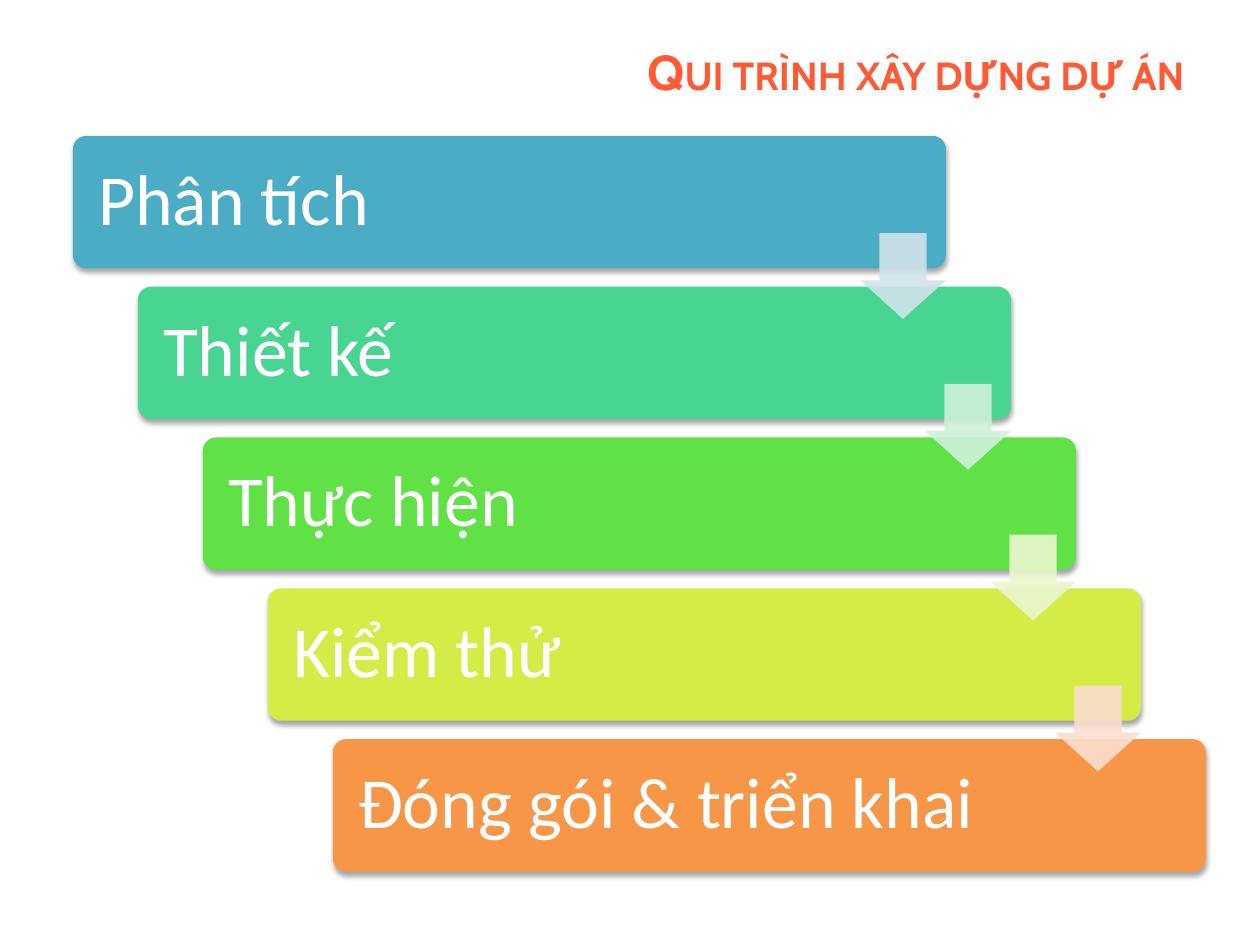
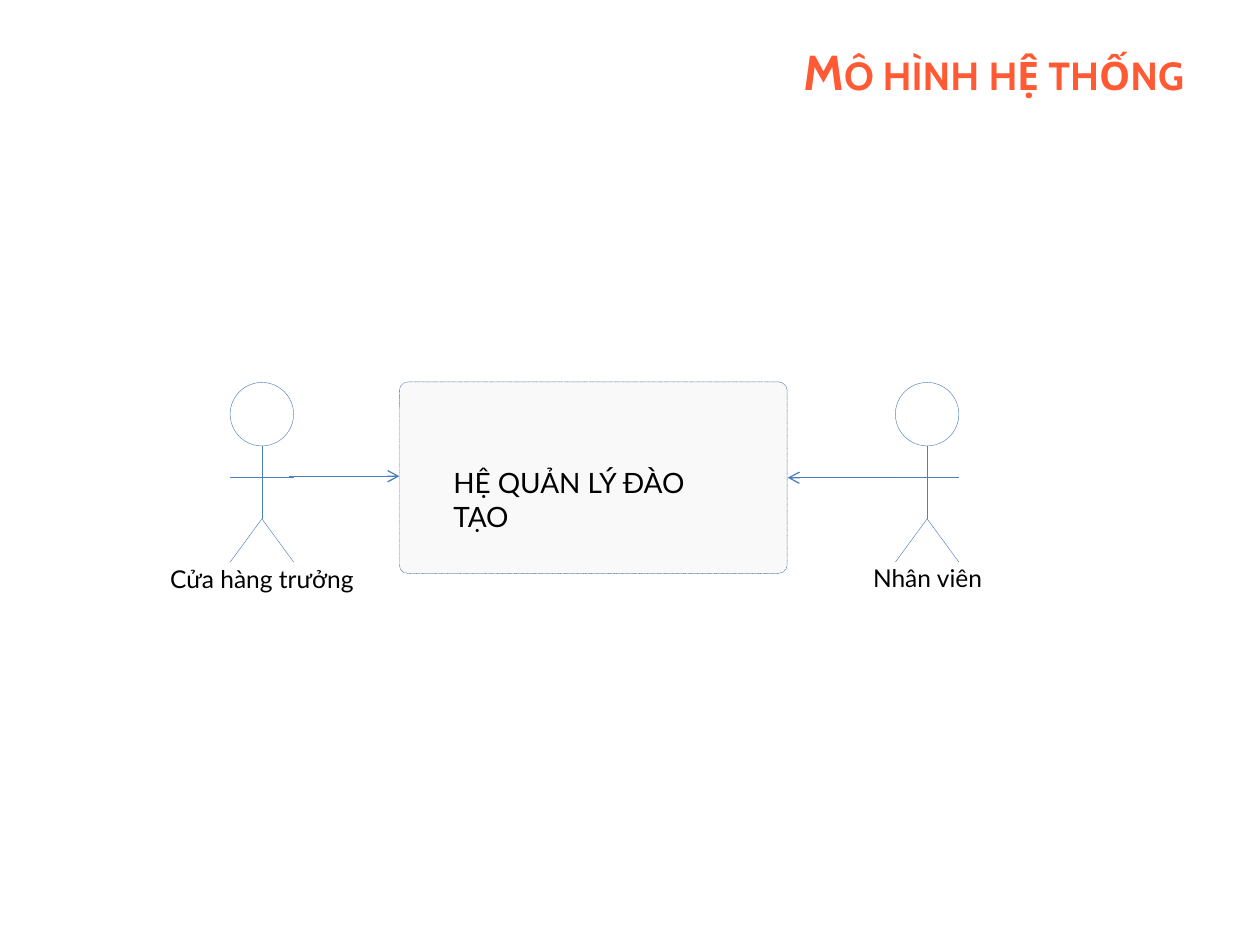
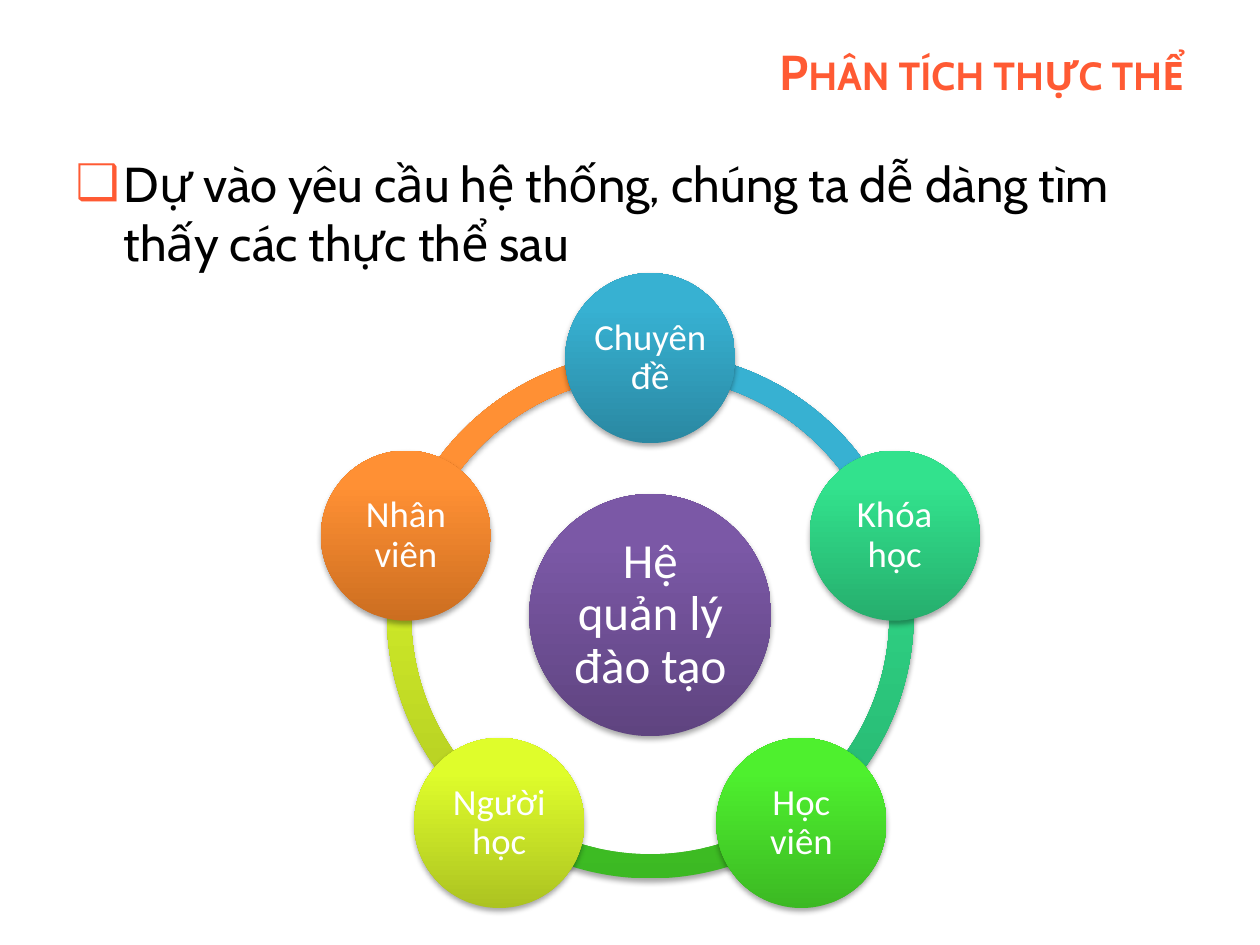
"""Build three slides on a project's process, system model and entities."""
import math

from lxml import etree
from pptx import Presentation
from pptx import util as u
from pptx.dml.color import RGBColor
from pptx.enum import dml, shapes, text
from pptx.oxml.ns import qn

Kind = shapes.MSO_SHAPE
Align = text.PP_ALIGN
Anchor = text.MSO_ANCHOR
TITLE_ONLY, TITLE_AND_BODY = 5, 1


def paint(color_format, value):
    color_format.rgb = RGBColor.from_string(value)


def add_xml(parent, tag, **attributes):
    return etree.SubElement(parent, qn(tag), attributes)


def write(box, words, size=16, color="000000", font="Lato", bold=False, small_caps=False,
          align=Align.LEFT, anchor=Anchor.TOP, spacing=None, inset=None):
    frame = box.text_frame
    frame.word_wrap = True
    frame.auto_size = text.MSO_AUTO_SIZE.NONE
    frame.vertical_anchor = anchor
    if inset is not None:
        frame.margin_left = frame.margin_right = u.Cm(inset)
        frame.margin_top = frame.margin_bottom = u.Cm(inset)
    para = frame.paragraphs[0]
    para.alignment = align
    if spacing:
        para.line_spacing = spacing
    span = para.add_run()
    span.text = words
    span.font.name = font
    span.font.size = u.Pt(size)
    span.font.bold = bold
    paint(span.font.color, color)
    if small_caps:
        span.font._element.set("cap", "small")
    return para


class Board:
    accent = "FF5A33"
    heading_font = "Cabin"
    diagram_text = dict(font="Calibri", color="FFFFFF", anchor=Anchor.MIDDLE, spacing=0.9)

    def __init__(self, deck):
        self.deck = deck
        self.page = None

    def place(self, box, left, top, width, height):
        box.left, box.top, box.width, box.height = map(u.Cm, (left, top, width, height))

    def start(self, title, layout=TITLE_ONLY):
        self.page = self.deck.slides.add_slide(self.deck.slide_layouts[layout])
        box = self.page.shapes.title
        self.place(box, 5.72, 0.76, 18.41, 1.35)
        write(box, title, size=28, color=self.accent, font=self.heading_font, bold=True,
              small_caps=True, align=Align.RIGHT, anchor=Anchor.MIDDLE)

    def bullet(self, words):
        box = self.page.placeholders[1]
        self.place(box, 1.27, 2.97, 22.86, 2.97)
        para = write(box, words, size=28, font=self.heading_font)
        format_xml = para._p.get_or_add_pPr()
        indent = u.Cm(0.97)
        format_xml.set("marL", str(indent))
        format_xml.set("indent", str(-indent))
        add_xml(add_xml(format_xml, "a:buClr"), "a:srgbClr", val=self.accent)
        add_xml(format_xml, "a:buChar", char="❑")

    def shape(self, kind, left, top, width, height, fill, adjust=(), alpha=None,
              line=None, dotted=False, shadow=False):
        box = self.page.shapes.add_shape(kind, *map(u.Cm, (left, top, width, height)))
        for index, value in enumerate(adjust):
            box.adjustments[index] = value
        if isinstance(fill, tuple):
            box.fill.gradient()
            box.fill.gradient_angle = 90
            for stop, color, position in zip(box.fill.gradient_stops, fill, (0, 0.8)):
                paint(stop.color, color)
                stop.position = position
        else:
            box.fill.solid()
            paint(box.fill.fore_color, fill)
        if alpha:
            color_xml = box._element.spPr.find(".//" + qn("a:srgbClr"))
            add_xml(color_xml, "a:alpha", val=str(alpha * 1000))
        if line:
            paint(box.line.color, line)
            box.line.width = u.Pt(0.25)
            if dotted:
                box.line.dash_style = dml.MSO_LINE.ROUND_DOT
        else:
            box.line.fill.background()
        box.shadow.inherit = False
        if shadow:
            self.drop_shadow(box)
        return box

    def drop_shadow(self, box):
        effects = box._element.spPr.find(qn("a:effectLst"))
        outer = add_xml(effects, "a:outerShdw", blurRad="40000", dist="23000",
                        dir="5400000", rotWithShape="0")
        add_xml(add_xml(outer, "a:srgbClr", val="000000"), "a:alpha", val="35000")

    def line(self, x1, y1, x2, y2, color="4F81BD", width=0.25, arrow=False):
        connector = self.page.shapes.add_connector(
            shapes.MSO_CONNECTOR.STRAIGHT, *map(u.Cm, (x1, y1, x2, y2)))
        paint(connector.line.color, color)
        connector.line.width = u.Pt(width)
        if arrow:
            add_xml(connector.line._get_or_add_ln(), "a:tailEnd", type="arrow")
        add_xml(connector._element.spPr, "a:effectLst")

    def label(self, words, left, top, width, height=0.86, size=14):
        box = self.page.shapes.add_textbox(*map(u.Cm, (left, top, width, height)))
        write(box, words, size=size)

    def circle(self, words, center_x, center_y, diameter, fill, size, inset):
        box = self.shape(Kind.OVAL, center_x - diameter / 2, center_y - diameter / 2,
                         diameter, diameter, fill, shadow=True)
        write(box, words, size=size, align=Align.CENTER, inset=inset, **self.diagram_text)

    def actor(self, center):
        half, shoulder, arms, hip, foot = 0.64, 8.99, 9.63, 10.46, 11.33
        self.shape(Kind.OVAL, center - half, shoulder - 2 * half, 2 * half, 2 * half,
                   "FFFFFF", line="4F81BD")
        self.line(center, shoulder, center, hip)
        self.line(center, hip, center - half, foot)
        self.line(center, hip, center + half, foot)
        self.line(center - half, arms, center + half, arms)


def build_process(board):
    board.start("Qui trình xây dựng dự án")
    steps = [("Phân tích", "4BACC6"), ("Thiết kế", "48D491"), ("Thực hiện", "60E146"),
             ("Kiểm thử", "D5EC46"), ("Đóng gói & triển khai", "F79646")]
    left, top, step_x, step_y = 1.47, 2.74, 1.31, 3.04
    width, height, arrow = 17.6, 2.67, 1.73
    for index, (words, color) in enumerate(steps):
        bar = board.shape(Kind.ROUNDED_RECTANGLE, left + index * step_x, top + index * step_y,
                          width, height, color, adjust=[0.1], shadow=True)
        write(bar, words, size=41, inset=0.43, **board.diagram_text)
    for index, color in enumerate(["D0E3EA", "CFF1D9", "EBF7CE", "FCDDCF"]):
        board.shape(Kind.DOWN_ARROW, left + width - arrow + index * step_x,
                    top + 1.96 + index * step_y, arrow, arrow, color,
                    adjust=[0.55, 0.45], alpha=90)


def build_model(board):
    board.start("Mô hình hệ thống")
    board.shape(Kind.ROUNDED_RECTANGLE, 8.05, 7.7, 7.82, 3.86, "F9F9F9", adjust=[0.045],
                line="3A5F8C", dotted=True)
    for center in (5.28, 18.69):
        board.actor(center)
    board.label("HỆ QUẢN LÝ ĐÀO TẠO", 8.89, 9.27, 6.27, 0.94, size=16)
    board.label("Cửa hàng trưởng", 3.18, 11.25, 4.27)
    board.label("Nhân viên", 17.35, 11.23, 2.85)
    for start, end, height in ((5.82, 8.05, 9.6), (18.08, 15.88, 9.63)):
        board.line(start, height, end, height, color="4B7EBC", width=0.75, arrow=True)


def build_entities(board):
    board.start("Phân tích thực thể", TITLE_AND_BODY)
    board.bullet("Dự vào yêu cầu hệ thống, chúng ta dễ dàng tìm thấy các thực thể sau")
    entities = [("Chuyên đề", ("2A88A2", "37B1D2")), ("Khóa học", ("26AE6D", "32E28D")),
                ("Học viên", ("3CB923", "4EF02E")), ("Người học", ("ACC321", "DFFD2B")),
                ("Nhân viên", ("CC6E20", "FF9034"))]
    center_x, center_y, orbit, ring = 13.11, 12.4, 5.18, 10.62
    step = 360 / len(entities)
    angles = [(270 + index * step) % 360 for index in range(len(entities))]
    for angle, (_, fill) in reversed(list(zip(angles, entities))):
        ends = [degrees * 0.6 for degrees in (angle, (angle + step) % 360)]
        board.shape(Kind.BLOCK_ARC, center_x - ring / 2, center_y - ring / 2, ring, ring,
                    fill, adjust=[*ends, 0.046], shadow=True)
    board.circle("Hệ quản lý đào tạo", center_x, center_y, 4.88, ("5F4480", "7B58A6"), 28, 0.1)
    for angle, (words, fill) in zip(angles, entities):
        turn = math.radians(angle)
        board.circle(words, center_x + orbit * math.cos(turn),
                     center_y + orbit * math.sin(turn), 3.43, fill, 21, 0.08)


def main():
    deck = Presentation()
    deck.slide_width, deck.slide_height = u.Cm(25.4), u.Cm(19.05)
    board = Board(deck)
    build_process(board)
    build_model(board)
    build_entities(board)
    deck.save("out.pptx")


if __name__ == "__main__":
    main()
